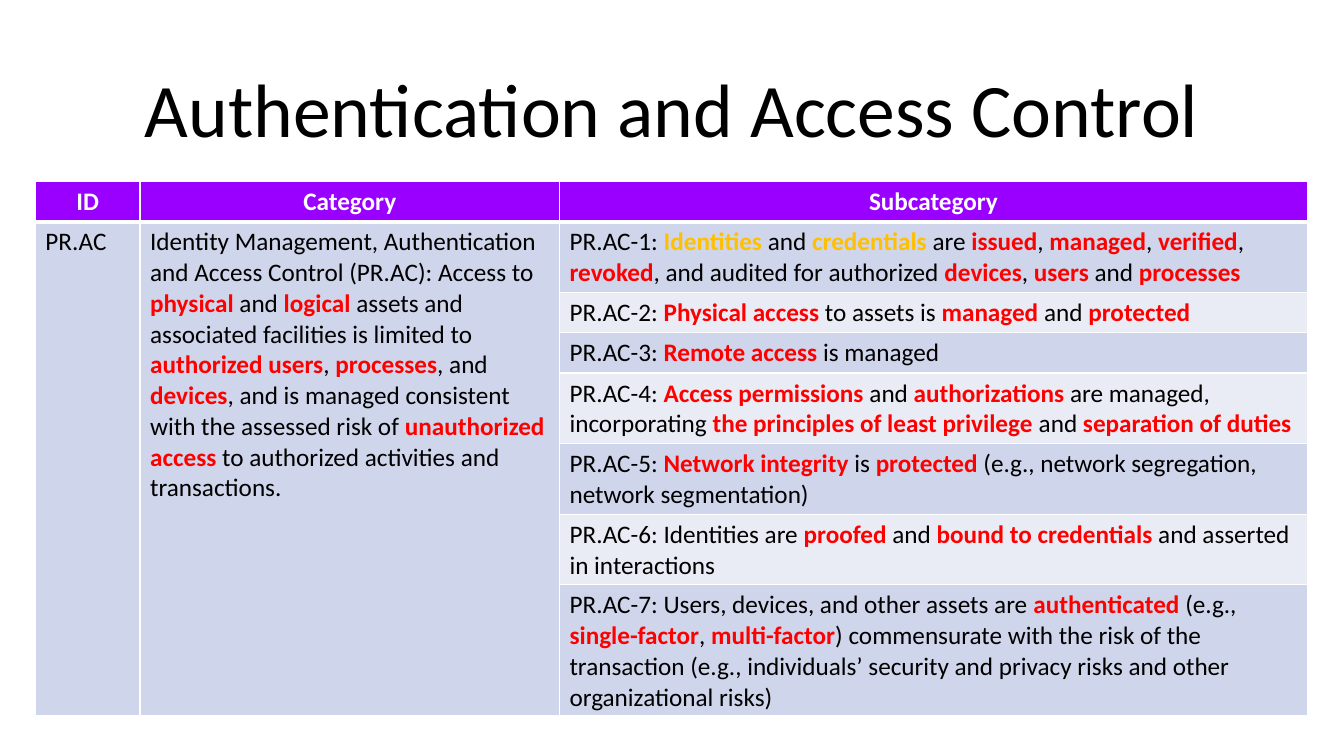
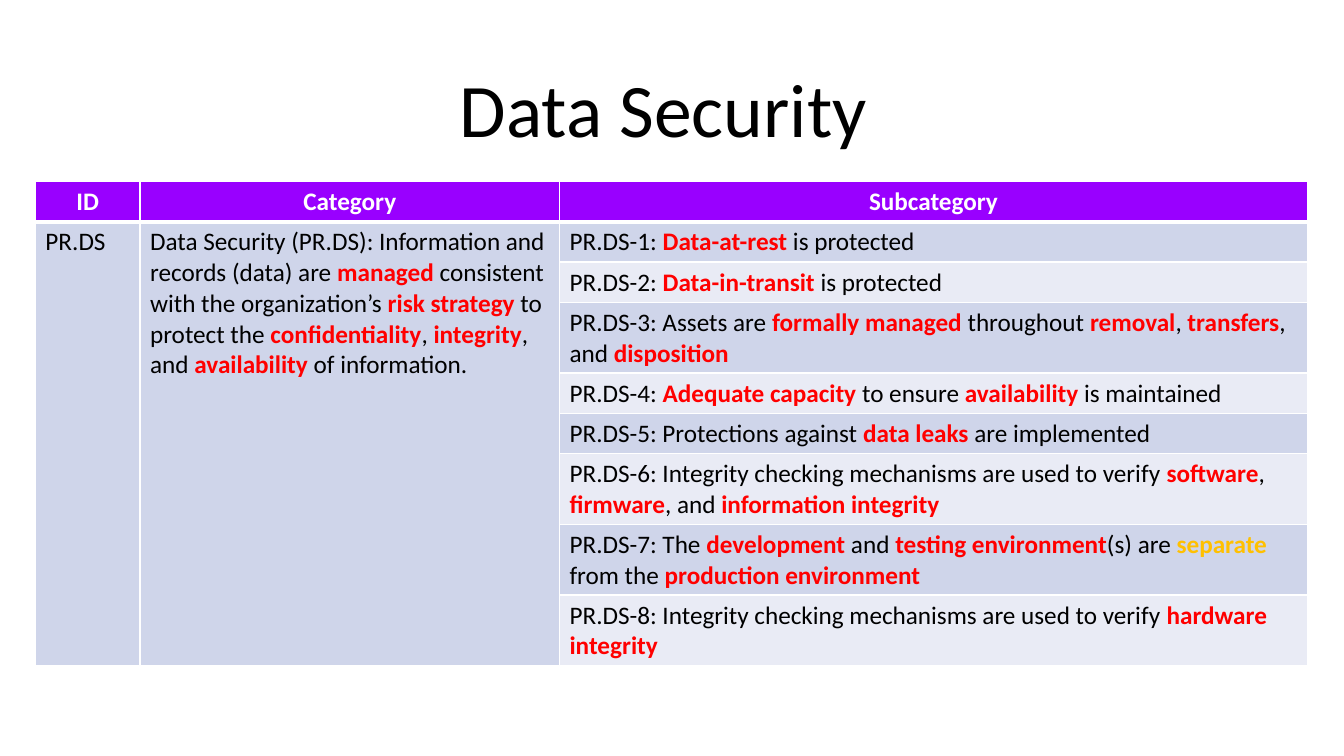
"""Build two slides that tabulate security control categories."""
from lxml.etree import SubElement
from pptx import Presentation
from pptx.dml.color import RGBColor
from pptx.enum.text import MSO_ANCHOR, PP_ALIGN
from pptx.oxml.ns import qn
from pptx.util import Cm, Pt

COLORS = {
    "text": "000000",
    "white": "FFFFFF",
    "header": "9900FF",
    "band_dark": "CFD5EA",
    "band_light": "E9EBF5",
    "key": "FF0000",
    "amber": "FFC000",
}
FONT = "Calibri"
HEADINGS = ("ID", "Category", "Subcategory")
COLUMN_WIDTHS = (2.64, 10.57, 18.85)
TABLE_LEFT, TABLE_TOP = 0.89, 4.57
HEADER_HEIGHT, ROW_HEIGHT = 0.94, 0.69
THIN, THICK = 1, 3
KEY_MARK, AMBER_MARK = "*", "^"

CONTROLS = [
    {
        "title": "Authentication and Access Control",
        "id": "PR.AC",
        "height": 13.46,
        "category": "Identity Management, Authentication and Access Control (PR.AC): "
                    "Access to *physical* and *logical* assets and associated facilities "
                    "is limited to *authorized users*, *processes*, and *devices*, and is "
                    "managed consistent with the assessed risk of *unauthorized access *"
                    "to authorized activities and transactions.",
        "subcategories": [
            "*^Identities* and *^credentials* are *issued*, *managed*, *verified*, "
            "*revoked*, and audited for authorized *devices*, *users* and *processes*",
            "*Physical access *to assets is *managed* and *protected*",
            "*Remote access *is managed",
            "*Access permissions* and *authorizations* are managed, incorporating "
            "*the principles of least privilege *and *separation of duties*",
            "*Network integrity* is *protected* (e.g., network segregation, "
            "network segmentation)",
            "Identities are *proofed* and *bound to credentials* and asserted "
            "in interactions",
            "Users, devices, and other assets are *authenticated* (e.g., "
            "*single-factor*, *multi-factor*) commensurate with the risk of the "
            "transaction (e.g., individuals’ security and privacy risks and other "
            "organizational risks)",
        ],
    },
    {
        "title": "Data Security ",
        "id": "PR.DS",
        "height": 12.19,
        "category": "Data Security (PR.DS): Information and records (data) are *managed* "
                    "consistent with the organization’s *risk strategy *to protect the "
                    "*confidentiality*, *integrity*, and *availability* of information.",
        "subcategories": [
            "*Data-at-rest* is protected",
            "*Data-in-transit* is protected",
            "Assets are *formally managed* throughout *removal*, *transfers*, "
            "and *disposition*",
            "*Adequate capacity* to ensure *availability* is maintained",
            "Protections against *data leaks* are implemented",
            "Integrity checking mechanisms are used to verify *software*, "
            "*firmware*, and *information integrity*",
            "The *development* and *testing environment*(s) are *^separate* "
            "from the *production environment*",
            "Integrity checking mechanisms are used to verify *hardware integrity*",
        ],
    },
]


def rgb(name):
    """Return the named palette colour."""
    return RGBColor.from_string(COLORS[name])


def write_text(text_frame, text, size=18, color="text", bold=False,
               align=PP_ALIGN.LEFT, line_spacing=None):
    """Write one paragraph, with marked phrases bold and coloured."""
    paragraph = text_frame.paragraphs[0]
    paragraph.alignment = align
    paragraph.line_spacing = line_spacing
    for index, phrase in enumerate(text.split(KEY_MARK)):
        if not phrase:
            continue
        marked = index % 2 == 1
        run_color = color
        if marked:
            run_color = "amber" if phrase.startswith(AMBER_MARK) else "key"
        run = paragraph.add_run()
        run.text = phrase.removeprefix(AMBER_MARK)
        run.font.name = FONT
        run.font.size = Pt(size)
        run.font.bold = bold or marked
        run.font.color.rgb = rgb(run_color)


def add_title(slide, text):
    """Add the centred slide title."""
    shape = slide.shapes.add_textbox(Cm(2.33), Cm(1.01), Cm(29.21), Cm(3.68))
    shape.text_frame.word_wrap = True
    shape.text_frame.vertical_anchor = MSO_ANCHOR.MIDDLE
    write_text(shape.text_frame, text, size=54, align=PP_ALIGN.CENTER, line_spacing=0.9)


def style_cell(cell, fill, top=THIN, bottom=THIN):
    """Give a cell white borders and a solid fill."""
    properties = cell._tc.get_or_add_tcPr()
    for side, width in (("L", THIN), ("R", THIN), ("T", top), ("B", bottom)):
        line = SubElement(properties, qn(f"a:ln{side}"), w=str(Pt(width)))
        solid = SubElement(line, qn("a:solidFill"))
        SubElement(solid, qn("a:srgbClr"), val=COLORS["white"])
    cell.fill.solid()
    cell.fill.fore_color.rgb = rgb(fill)


def add_control_table(slide, control):
    """Add a table with one category and its numbered subcategories."""
    subcategories = control["subcategories"]
    last_row = len(subcategories)
    frame = slide.shapes.add_table(
        last_row + 1, len(HEADINGS), Cm(TABLE_LEFT), Cm(TABLE_TOP),
        Cm(sum(COLUMN_WIDTHS)), Cm(control["height"]))
    table = frame.table
    for column, width in zip(table.columns, COLUMN_WIDTHS):
        column.width = Cm(width)
    for index, row in enumerate(table.rows):
        row.height = Cm(ROW_HEIGHT if index else HEADER_HEIGHT)
    frame.height = Cm(control["height"])

    for column, heading in enumerate(HEADINGS):
        cell = table.cell(0, column)
        style_cell(cell, "header", bottom=THICK)
        write_text(cell.text_frame, heading, color="white", bold=True,
                   align=PP_ALIGN.CENTER)

    for number, description in enumerate(subcategories, start=1):
        top = THICK if number == 1 else THIN
        band = "band_dark" if number % 2 else "band_light"
        for column, fill in enumerate(("band_dark", "band_dark", band)):
            style_cell(table.cell(number, column), fill, top=top)
        write_text(table.cell(number, 2).text_frame,
                   f"{control['id']}-{number}: {description}")

    for column, key in enumerate(("id", "category")):
        cell = table.cell(1, column)
        cell.merge(table.cell(last_row, column))
        write_text(cell.text_frame, control[key])


def main():
    """Build and save the presentation."""
    presentation = Presentation()
    presentation.slide_width = Cm(33.87)
    presentation.slide_height = Cm(19.05)
    for control in CONTROLS:
        slide = presentation.slides.add_slide(presentation.slide_layouts[6])
        add_title(slide, control["title"])
        add_control_table(slide, control)
    presentation.save("out.pptx")


if __name__ == "__main__":
    main()
